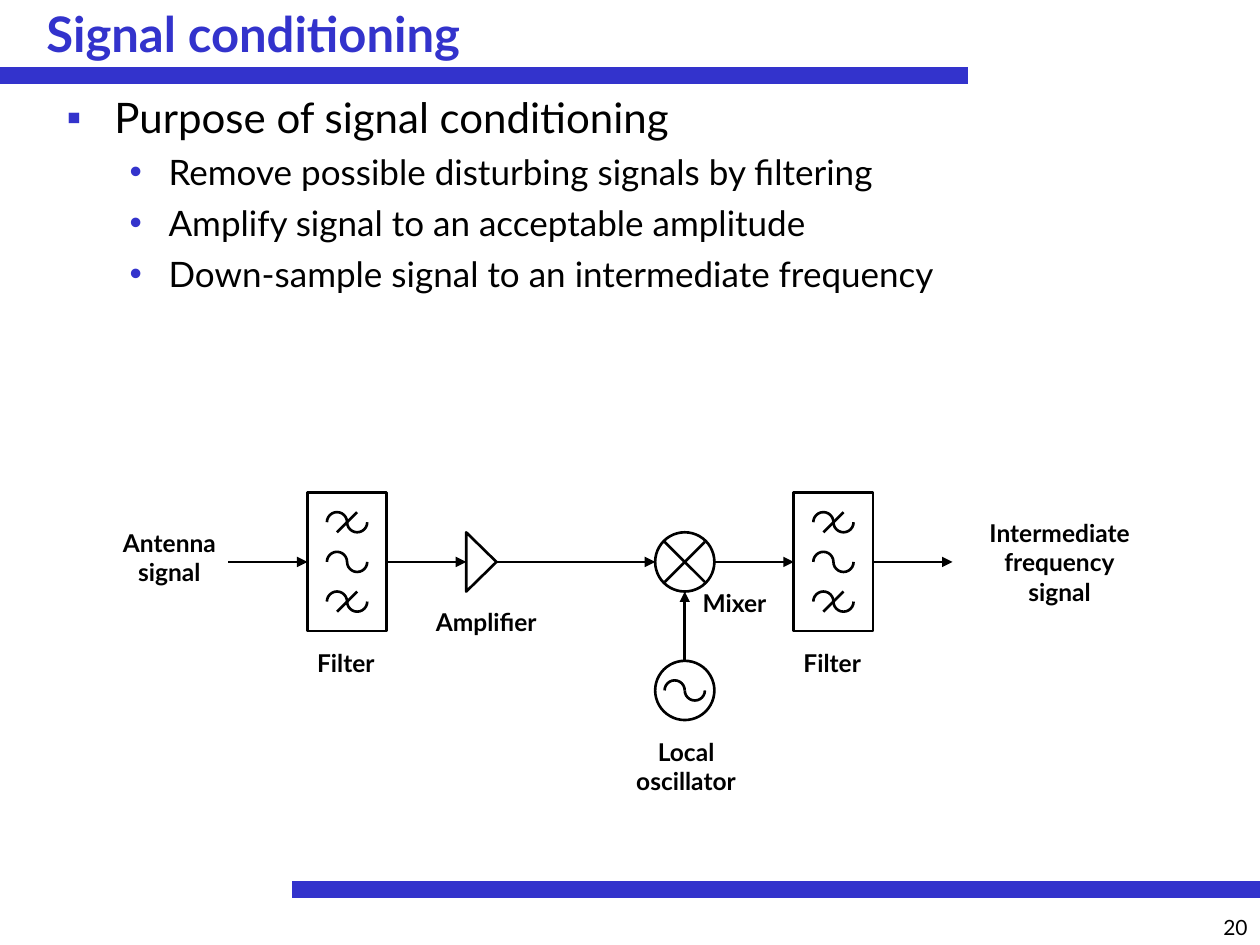
"""Build a slide on signal conditioning with a receiver block diagram."""
from lxml.etree import SubElement
from pptx import Presentation
from pptx.dml.color import RGBColor
from pptx.enum.shapes import MSO_CONNECTOR, MSO_SHAPE
from pptx.enum.text import MSO_ANCHOR, MSO_AUTO_SIZE, PP_ALIGN
from pptx.oxml.ns import qn
from pptx.util import Inches, Pt

BLUE = RGBColor(0x33, 0x33, 0xCC)
BLACK = RGBColor(0, 0, 0)
FONT = "Lato"

TITLE = "Signal conditioning"
PAGE = "20"
BODY = [
    (0, "Purpose of signal conditioning"),
    (1, "Remove possible disturbing signals by filtering"),
    (1, "Amplify signal to an acceptable amplitude"),
    (1, "Down-sample signal to an intermediate frequency"),
]
LEVELS = [
    dict(size=24, before=6, margin=0.38, indent=-0.38, bullet="▪"),
    dict(size=20, before=5, margin=0.81, indent=-0.31, bullet="•"),
]
BARS = [(0, 0.6, 7.68, 0.6), (2.32, 7.06, 10, 7.06)]
LABELS = [
    (["Antenna", "signal"], 0.83, 4.14, 1.03, 0.57),
    (["Intermediate", "frequency", "signal"], 7.66, 4.06, 1.5, 0.8),
    (["Filter"], 2.39, 5.09, 0.71, 0.34),
    (["Amplifier"], 3.31, 4.77, 1.1, 0.34),
    (["Local", "oscillator"], 4.89, 5.8, 1.11, 0.57),
    (["Mixer"], 5.45, 4.62, 0.76, 0.34),
    (["Filter"], 6.25, 5.09, 0.71, 0.34),
]

AXIS_Y = 4.46
FILTER_XS = (2.755, 6.615)
FILTER_W, FILTER_H = 0.63, 1.1
BAND_GAP = 0.315
MIXER_X, OSC_Y = 5.435, 5.48
DIAMETER = 0.47
AMP_X, AMP_W = 3.82, 0.24
WAVE = 0.16
LEFT, RIGHT = 1, 3

prs = Presentation()
prs.slide_width, prs.slide_height = Inches(10), Inches(7.5)
s = prs.slides.add_slide(prs.slide_layouts[6])


def add_line(x1, y1, x2, y2, color=BLACK, width=1.5, arrow=False):
    ends = [Inches(v) for v in (x1, y1, x2, y2)]
    line = s.shapes.add_connector(MSO_CONNECTOR.STRAIGHT, *ends)
    line.line.color.rgb = color
    line.line.width = Pt(width)
    if arrow:
        SubElement(line.line._get_or_add_ln(), qn("a:tailEnd"), type="triangle")
    SubElement(line._element.spPr, qn("a:effectLst"))
    return line


def add_outline(kind, cx, cy, w, h):
    box = [Inches(v) for v in (cx - w / 2, cy - h / 2, w, h)]
    sp = s.shapes.add_shape(kind, *box)
    sp.shadow.inherit = False
    sp.fill.background()
    sp.line.color.rgb = BLACK
    sp.line.width = Pt(1.5)
    return sp


def add_wave(cx, cy):
    for side, start, end in ((-1, 180, 0), (1, 0, 180)):
        arc = add_outline(MSO_SHAPE.ARC, cx + side * WAVE / 2, cy, WAVE, WAVE)
        arc.adjustments[0] = start * 0.6
        arc.adjustments[1] = end * 0.6


def add_filter(cx):
    box = add_outline(MSO_SHAPE.RECTANGLE, cx, AXIS_Y, FILTER_W, FILTER_H)
    for band in (-1, 0, 1):
        y = AXIS_Y + band * BAND_GAP
        add_wave(cx, y)
        if band:
            add_line(cx + WAVE / 2, y - WAVE / 2, cx - WAVE / 2, y + WAVE / 2)
    return box


def add_text(x, y, w, h, wrap=True):
    tf = s.shapes.add_textbox(*[Inches(v) for v in (x, y, w, h)]).text_frame
    tf.word_wrap = wrap
    return tf


def add_run(p, text, size, color=BLACK, bold=False):
    r = p.add_run()
    r.text = text
    r.font.name, r.font.size, r.font.bold = FONT, Pt(size), bold
    r.font.color.rgb = color


def add_bullet(p, margin, indent, bullet):
    pPr = p._p.get_or_add_pPr()
    pPr.set("marL", str(Inches(margin)))
    pPr.set("indent", str(Inches(indent)))
    SubElement(SubElement(pPr, qn("a:buClr")), qn("a:srgbClr"), val=str(BLUE))
    SubElement(pPr, qn("a:buFont"), typeface="Arial")
    SubElement(pPr, qn("a:buChar"), char=bullet)


def next_paragraph(tf, i):
    return tf.add_paragraph() if i else tf.paragraphs[0]


for bar in BARS:
    add_line(*bar, color=BLUE, width=10)

tf = add_text(0.27, 0.05, 7.4, 0.43)
tf.vertical_anchor = MSO_ANCHOR.MIDDLE
add_run(tf.paragraphs[0], TITLE, 28, BLUE, True)

tf = add_text(0.43, 0.68, 9.57, 6.3)
for i, (level, text) in enumerate(BODY):
    style = LEVELS[level]
    p = next_paragraph(tf, i)
    p.level = level
    p.space_before = Pt(style["before"])
    add_bullet(p, style["margin"], style["indent"], style["bullet"])
    add_run(p, text, style["size"])

filter_in, filter_out = [add_filter(x) for x in FILTER_XS]
add_outline(MSO_SHAPE.ISOSCELES_TRIANGLE, AMP_X, AXIS_Y, DIAMETER, AMP_W).rotation = 90
for y in (AXIS_Y, OSC_Y):
    add_outline(MSO_SHAPE.OVAL, MIXER_X, y, DIAMETER, DIAMETER)
add_wave(MIXER_X, OSC_Y)
for side in (-1, 1):
    add_line(MIXER_X - side * WAVE, AXIS_Y - WAVE, MIXER_X + side * WAVE, AXIS_Y + WAVE)

radius = DIAMETER / 2
in_left, in_right, out_left, out_right = [
    x + side * FILTER_W / 2 for x in FILTER_XS for side in (-1, 1)]
FLOWS = [
    (in_left - FILTER_W, in_left, None, filter_in),
    (in_right, AMP_X - AMP_W / 2, filter_in, None),
    (AMP_X + AMP_W / 2, MIXER_X - radius, None, None),
    (MIXER_X + radius, out_left, None, filter_out),
    (out_right, out_right + FILTER_W, filter_out, None),
]
for x1, x2, source, target in FLOWS:
    line = add_line(x1, AXIS_Y, x2, AXIS_Y, arrow=True)
    if source:
        line.begin_connect(source, RIGHT)
    if target:
        line.end_connect(target, LEFT)
add_line(MIXER_X, OSC_Y - radius, MIXER_X, AXIS_Y + radius, arrow=True)

for lines, *box in LABELS:
    tf = add_text(*box, wrap=False)
    tf.auto_size = MSO_AUTO_SIZE.SHAPE_TO_FIT_TEXT
    for i, text in enumerate(lines):
        p = next_paragraph(tf, i)
        p.alignment = PP_ALIGN.CENTER
        add_run(p, text, 14, bold=True)

p = add_text(7.59, 7.21, 2.41, 0.28).paragraphs[0]
p.alignment = PP_ALIGN.RIGHT
add_run(p, PAGE, 12)

prs.save("out.pptx")
